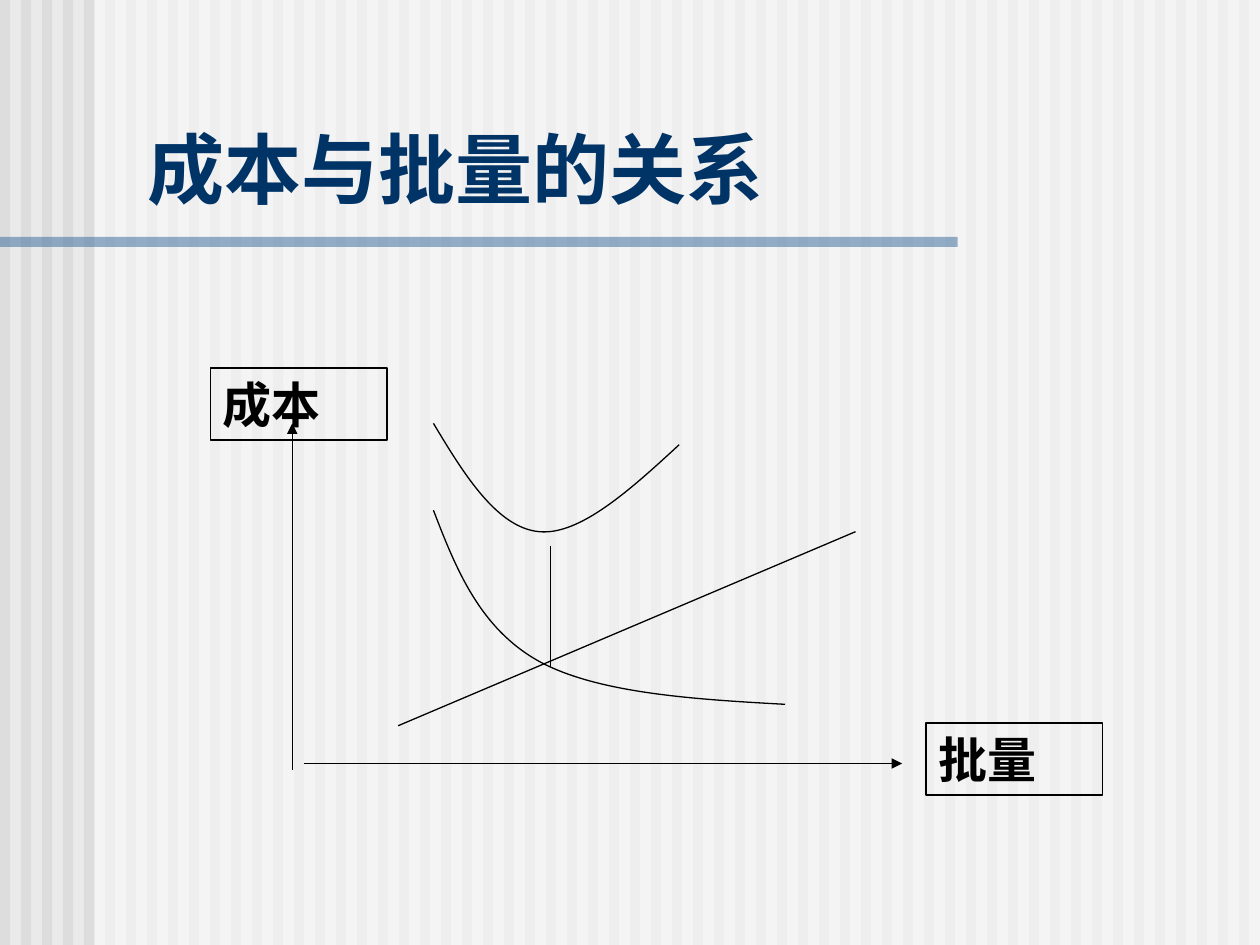
from pptx import Presentation, util as u
from pptx.dml.color import RGBColor
from pptx.enum import shapes, text
from pptx.oxml import ns, xmlchemy

INK = "000000"


def paint(fmt, hue, alpha=None):
    fmt.solid()
    fmt.fore_color.rgb = RGBColor.from_string(hue)
    if alpha:
        node = fmt._xPr.find(".//" + ns.qn("a:srgbClr"))
        xmlchemy.OxmlElement("a:alpha")
        tag = xmlchemy.OxmlElement("a:alpha")
        tag.set("val", str(alpha * 1000))
        node.append(tag)


def write(frame, words, size=28, font="Times New Roman", hue=INK,
          anchor=text.MSO_ANCHOR.TOP):
    frame.word_wrap = True
    frame.vertical_anchor = anchor
    par = frame.paragraphs[0]
    par.alignment = text.PP_ALIGN.LEFT
    run = par.add_run()
    run.text = words
    run.font.size = u.Pt(size)
    run.font.name = font
    run.font.bold = True
    paint(run.font.fill, hue)


class Deck:
    def __init__(self):
        self.prs = Presentation()
        self.prs.slide_width = u.Inches(10)
        self.prs.slide_height = u.Inches(7.5)
        self.page = self.prs.slides.add_slide(self.prs.slide_layouts[6])
        paint(self.page.background.fill, "EAEAEA")

    def edge(self, item, width=0.75):
        paint(item.line.fill, INK)
        item.line.width = u.Pt(width)

    def rect(self, x, y, w, h, hue=None, alpha=None):
        item = self.page.shapes.add_shape(
            shapes.MSO_SHAPE.RECTANGLE, *map(u.Inches, (x, y, w, h)))
        item.shadow.inherit = False
        if hue:
            paint(item.fill, hue, alpha)
            item.line.fill.background()
        else:
            item.fill.background()
            self.edge(item, 1)
        return item

    def title(self, words, x, y, w, h):
        box = self.page.shapes.add_textbox(*map(u.Inches, (x, y, w, h)))
        write(box.text_frame, words, size=44, font="DejaVu Sans",
              hue="003366", anchor=text.MSO_ANCHOR.BOTTOM)

    def label(self, words, x, y):
        write(self.rect(x, y, 1.4, 0.57).text_frame, words)

    def line(self, x1, y1, x2, y2, arrow=None):
        item = self.page.shapes.add_connector(
            shapes.MSO_CONNECTOR.STRAIGHT, *map(u.Inches, (x1, y1, x2, y2)))
        self.edge(item)
        if arrow:
            tip = xmlchemy.OxmlElement("a:" + arrow)
            tip.set("type", "triangle")
            item.line._get_or_add_ln().append(tip)
        item._element.spPr.append(xmlchemy.OxmlElement("a:effectLst"))

    def curve(self, start, *points):
        pen = self.page.shapes.build_freeform(
            *map(u.Inches, start), scale=1.0)
        pen.add_line_segments(
            [tuple(map(u.Inches, p)) for p in points], close=False)
        item = pen.convert_to_shape()
        item.shadow.inherit = False
        item.fill.background()
        self.edge(item)
        track = item._element.find(".//" + ns.qn("a:path"))
        steps = track.findall(ns.qn("a:lnTo"))
        for i in range(0, len(steps), 3):
            bend = xmlchemy.OxmlElement("a:cubicBezTo")
            for step in steps[i:i + 3]:
                bend.append(step[0])
                track.remove(step)
            track.append(bend)


def main():
    deck = Deck()
    for i in range(60):
        deck.rect(i / 6, 0, 0.08, 7.5, "DDDDDD")
    deck.rect(0.75, 0, 9.25, 7.5, "FFFFFF", 50)
    deck.rect(0, 1.88, 7.6, 0.08, "336699", 50)
    deck.title("成本与批量的关系", 1.07, 0.92, 8.93, 0.83)

    deck.line(2.32, 3.36, 2.32, 6.11, "headEnd")
    deck.line(2.41, 6.06, 7.16, 6.06, "tailEnd")
    deck.line(3.16, 5.76, 6.79, 4.22)
    deck.curve((3.44, 3.36), (3.69, 3.78), (3.95, 4.19), (4.28, 4.22),
               (4.6, 4.25), (5, 3.89), (5.39, 3.53))
    deck.curve((3.44, 4.05), (3.62, 4.52), (3.81, 4.99), (4.28, 5.25),
               (4.74, 5.5), (5.49, 5.55), (6.23, 5.59))
    deck.line(4.37, 4.33, 4.37, 5.29)
    deck.label("批量", 7.35, 5.74)
    deck.label("成本", 1.67, 2.92)
    deck.prs.save("out.pptx")


if __name__ == "__main__":
    main()
